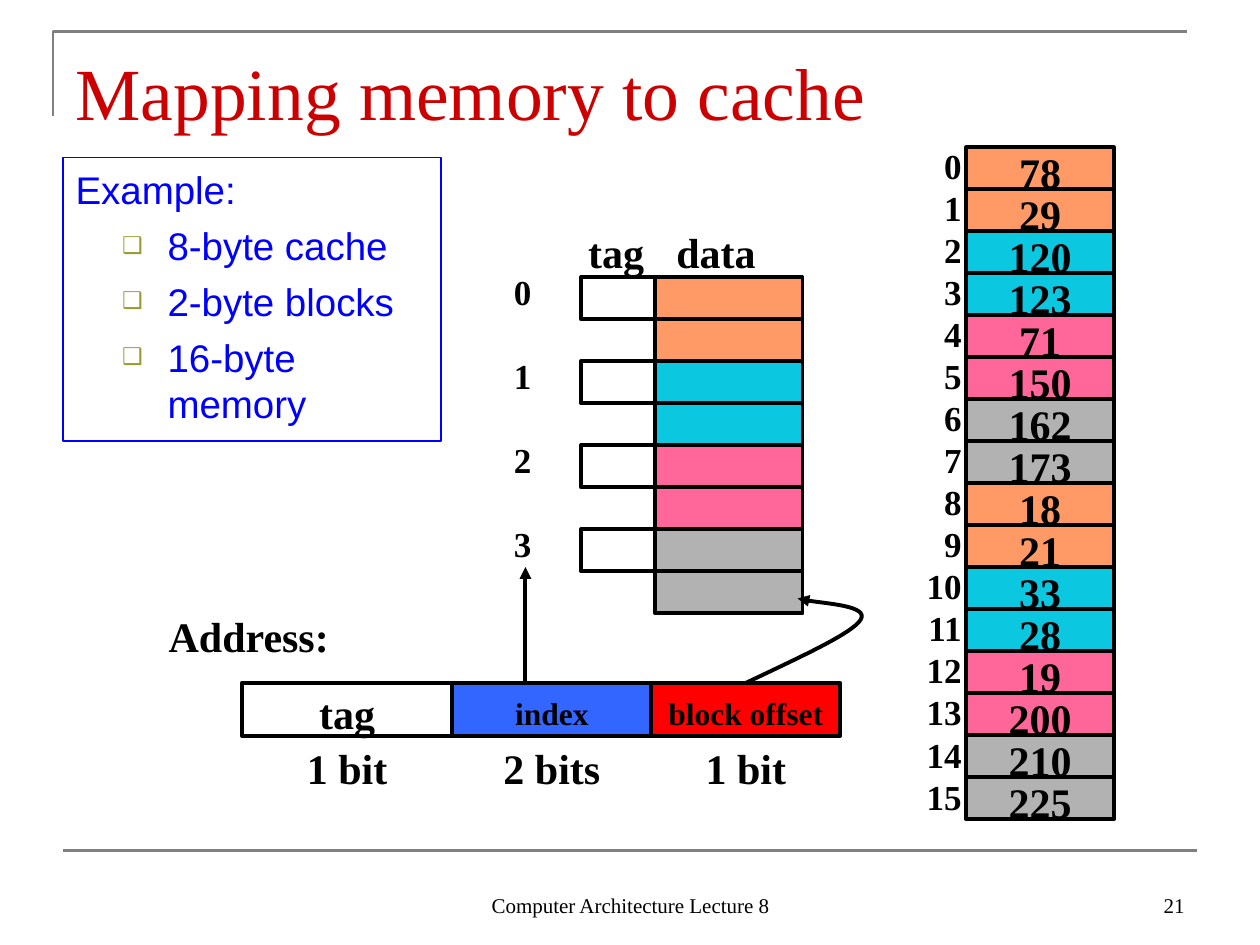
from pptx import Presentation
from pptx.dml.color import RGBColor
from pptx.enum.shapes import MSO_CONNECTOR, MSO_SHAPE
from pptx.enum.text import MSO_ANCHOR, MSO_AUTO_SIZE, PP_ALIGN
from pptx.oxml.ns import qn
from pptx.util import Inches, Pt
from lxml import etree

RECTANGLE = MSO_SHAPE.RECTANGLE
STRAIGHT = MSO_CONNECTOR.STRAIGHT
LEFT, CENTER, RIGHT = PP_ALIGN.LEFT, PP_ALIGN.CENTER, PP_ALIGN.RIGHT
TOP, MIDDLE, BOTTOM = MSO_ANCHOR.TOP, MSO_ANCHOR.MIDDLE, MSO_ANCHOR.BOTTOM
NO_AUTOFIT = MSO_AUTO_SIZE.NONE

BLACK = RGBColor(0x00, 0x00, 0x00)
WHITE = RGBColor(0xFF, 0xFF, 0xFF)
GRAY = RGBColor(0x80, 0x80, 0x80)
TITLE_RED = RGBColor(0xCC, 0x00, 0x00)
EXAMPLE_BLUE = RGBColor(0x00, 0x00, 0xFF)
INDEX_BLUE = RGBColor(0x33, 0x66, 0xFF)
OFFSET_RED = RGBColor(0xFF, 0x00, 0x00)
BLOCK_COLORS = [RGBColor(0xFF, 0x99, 0x66), RGBColor(0x0C, 0xC7, 0xE0),
                RGBColor(0xFF, 0x66, 0x99), RGBColor(0xB2, 0xB2, 0xB2)]
BULLET_COLOR = "999933"
SERIF, SANS = "Times New Roman", "Arial"
LINE_SPACING = 1.2
BLOCK_SIZE = 2
ROW_HEIGHT = Inches(1) / 3
DATA_WIDTH = Inches(1.17)

MEMORY = [78, 29, 120, 123, 71, 150, 162, 173,
          18, 21, 33, 28, 19, 200, 210, 225]
ADDRESS_FIELDS = [("tag", "1 bit", 1.67, 24, WHITE),
                  ("index", "2 bits", 1.58, 18, INDEX_BLUE),
                  ("block offset", "1 bit", 1.5, 18, OFFSET_RED)]


def add_run(paragraph, text, size, color=BLACK, bold=True, font=SERIF):
    run = paragraph.add_run()
    run.text = text
    run.font.name = font
    run.font.size = Pt(size)
    run.font.bold = bold
    run.font.color.rgb = color


def add_label(slide, box, lines, size, align=LEFT, anchor=TOP, bold=True, gap=0):
    label = slide.shapes.add_textbox(*box)
    frame = label.text_frame
    frame.word_wrap = True
    frame.vertical_anchor = anchor
    for number, line in enumerate(lines):
        paragraph = frame.add_paragraph() if number else frame.paragraphs[0]
        paragraph.alignment = align
        paragraph.line_spacing = Pt(size * LINE_SPACING)
        if number:
            paragraph.space_before = Pt(gap)
        add_run(paragraph, line, size, bold=bold)
    return label


def add_cell(slide, box, fill, text="", size=24):
    cell = slide.shapes.add_shape(RECTANGLE, *(int(length) for length in box))
    cell.shadow.inherit = False
    cell.fill.solid()
    cell.fill.fore_color.rgb = fill
    cell.line.color.rgb = BLACK
    cell.line.width = Pt(2.25)
    if text:
        frame = cell.text_frame
        frame.word_wrap = False
        frame.vertical_anchor = MIDDLE
        frame.margin_top, frame.margin_bottom = Inches(0.05), 0
        paragraph = frame.paragraphs[0]
        paragraph.alignment = CENTER
        paragraph.line_spacing = Pt(size * LINE_SPACING)
        add_run(paragraph, text, size)


def add_line(slide, start, end, color, width):
    line = slide.shapes.add_connector(STRAIGHT, *start, *end)
    line.line.color.rgb = color
    line.line.width = Pt(width)
    etree.SubElement(line._element.spPr, qn("a:effectLst"))
    return line


def add_outline(slide, points, color, width):
    builder = slide.shapes.build_freeform(*points[0])
    builder.add_line_segments(points[1:], close=False)
    outline = builder.convert_to_shape()
    outline.shadow.inherit = False
    outline.fill.background()
    outline.line.color.rgb = color
    outline.line.width = Pt(width)
    return outline


def add_arrowhead(arrow):
    line = arrow._element.spPr.find(qn("a:ln"))
    etree.SubElement(line, qn("a:tailEnd"), type="triangle")


def curve_segments(outline):
    segments = list(outline._element.iter(qn("a:lnTo")))
    for first, second, third in zip(*[iter(segments)] * 3):
        first.tag = qn("a:cubicBezTo")
        for segment in (second, third):
            first.append(segment[0])
            segment.getparent().remove(segment)


def place(placeholder, box):
    placeholder.left, placeholder.top, placeholder.width, placeholder.height = box
    frame = placeholder.text_frame
    frame.auto_size = NO_AUTOFIT
    frame.word_wrap = True
    frame.vertical_anchor = TOP
    return frame


def add_frame(slide, left, top, width):
    add_outline(slide, [(left, top + Inches(0.67)), (left, top), (left + width, top)],
                GRAY, 1.5)
    rule_left, rule_top = left + Inches(0.08), Inches(6.75)
    add_line(slide, (rule_left, rule_top), (rule_left + width, rule_top), GRAY, 1.5)
    footer_top, footer_height = Inches(6.83), Inches(0.5)
    add_label(slide, (Inches(3.42), footer_top, Inches(3.17), footer_height),
              ["Computer Architecture Lecture 8"], 12, CENTER, BOTTOM, False)
    add_label(slide, (Inches(7.17), footer_top, Inches(2.33), footer_height),
              ["21"], 12, RIGHT, BOTTOM, False)


def add_title(slide, *box):
    frame = place(slide.shapes.title, box)
    frame.margin_top, frame.margin_bottom = Inches(0.12), 0
    paragraph = frame.paragraphs[0]
    paragraph.alignment = LEFT
    add_run(paragraph, "Mapping memory to cache", 42, TITLE_RED, False)


def add_example(slide, *box):
    example = slide.placeholders[1]
    frame = place(example, box)
    example.line.color.rgb = EXAMPLE_BLUE
    example.line.width = Pt(0.75)
    frame.margin_top = Inches(0.07)
    lines = ["Example:", "8-byte cache", "2-byte blocks", "16-byte memory"]
    for number, line in enumerate(lines):
        paragraph = frame.add_paragraph() if number else frame.paragraphs[0]
        paragraph.line_spacing = Pt(22 * LINE_SPACING)
        paragraph.space_before = Pt(5.5 if number else 0)
        properties = paragraph._p.get_or_add_pPr()
        indent = Inches(0.36 if number else 0.38)
        properties.set("marL", str(Inches(0.73) if number else indent))
        properties.set("indent", str(-indent))
        if number:
            paragraph.level = 1
            bullet_color = etree.SubElement(properties, qn("a:buClr"))
            etree.SubElement(bullet_color, qn("a:srgbClr"), val=BULLET_COLOR)
            etree.SubElement(properties, qn("a:buSzPct"), val="60000")
            etree.SubElement(properties, qn("a:buChar"), char="❑")
        else:
            etree.SubElement(properties, qn("a:buNone"))
        add_run(paragraph, line, 22, EXAMPLE_BLUE, False, SANS)


def add_memory(slide, left, top):
    for address, value in enumerate(MEMORY):
        color = BLOCK_COLORS[address // BLOCK_SIZE % len(BLOCK_COLORS)]
        add_cell(slide, (left, top + address * ROW_HEIGHT, DATA_WIDTH, ROW_HEIGHT),
                 color, str(value))
    add_label(slide, (left - Inches(0.52), top - Inches(0.07), Inches(0.58), Inches(5.44)),
              [str(address) for address in range(len(MEMORY))], 20, RIGHT)


def add_cache(slide, left, top):
    tag_width = Inches(0.59)
    header = add_label(slide, (left - Inches(0.04), top - Inches(0.45), Inches(1.7), Inches(0.5)),
                       ["tag\tdata"], 24)
    properties = header.text_frame.paragraphs[0]._p.get_or_add_pPr()
    tabs = etree.SubElement(properties, qn("a:tabLst"))
    etree.SubElement(tabs, qn("a:tab"), pos=str(Inches(0.7)), algn="l")
    for block, color in enumerate(BLOCK_COLORS):
        block_top = top + block * BLOCK_SIZE * ROW_HEIGHT
        add_cell(slide, (left, block_top, tag_width, ROW_HEIGHT), WHITE)
        for offset in range(BLOCK_SIZE):
            add_cell(slide, (left + tag_width, block_top + offset * ROW_HEIGHT,
                             DATA_WIDTH, ROW_HEIGHT), color)
    add_label(slide, (left - Inches(0.63), top - Inches(0.1), Inches(0.4), Inches(2.44)),
              [str(block) for block in range(len(BLOCK_COLORS))], 20, gap=24)


def add_address(slide, left, top):
    height = Inches(0.42)
    add_label(slide, (left - Inches(0.68), top - Inches(0.62), Inches(1.6), Inches(0.5)),
              ["Address:"], 24)
    for name, bits, inches, size, color in ADDRESS_FIELDS:
        width = Inches(inches)
        add_cell(slide, (left, top, width, height), color, name, size)
        add_label(slide, (left, top + height, width, Inches(0.5)), [bits], 24, CENTER)
        left += width


def add_arrows(slide):
    index_x = Inches(4.17)
    add_arrowhead(add_line(slide, (index_x, Inches(5.42)), (index_x, Inches(4.5)),
                           BLACK, 2.25))
    offset_curve = [(5.92, 5.42), (6.34, 5.22), (6.76, 5.03), (6.83, 4.92),
                    (6.9, 4.81), (6.42, 4.78), (6.33, 4.75)]
    arrow = add_outline(slide, [(Inches(x), Inches(y)) for x, y in offset_curve],
                        BLACK, 2.25)
    curve_segments(arrow)
    add_arrowhead(arrow)


def main():
    deck = Presentation()
    deck.slide_width, deck.slide_height = Inches(10), Inches(7.5)
    slide = deck.slides.add_slide(deck.slide_layouts[1])
    add_frame(slide, Inches(0.42), Inches(0.25), Inches(9))
    add_title(slide, Inches(0.5), Inches(0.25), Inches(9), Inches(0.75))
    add_example(slide, Inches(0.5), Inches(1.25), Inches(3), Inches(2.25))
    add_memory(slide, Inches(7.67), Inches(1.17))
    add_cache(slide, Inches(4.61), Inches(2.2))
    add_address(slide, Inches(1.92), Inches(5.42))
    add_arrows(slide)
    deck.save("out.pptx")


if __name__ == "__main__":
    main()
